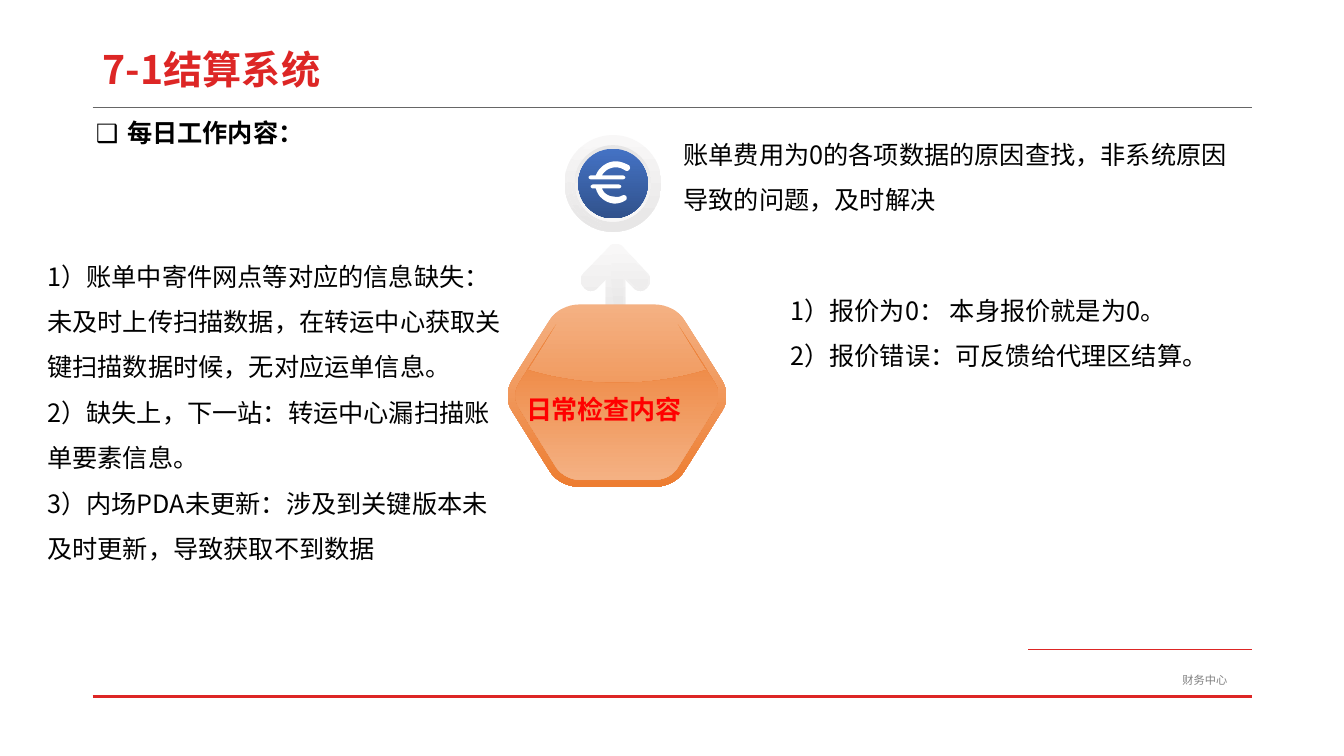
from dataclasses import dataclass

from lxml.etree import SubElement
from pptx import Presentation
from pptx.dml.color import RGBColor
from pptx.enum.shapes import MSO_CONNECTOR, MSO_SHAPE
from pptx.enum.text import MSO_ANCHOR, MSO_AUTO_SIZE, PP_ALIGN
from pptx.oxml.ns import qn
from pptx.util import Inches, Pt


@dataclass(frozen=True)
class Theme:
    font: str = "Noto Sans CJK SC"
    latin: str = "Arial"
    red: str = "DD2625"
    alert: str = "FF0000"
    ink: str = "000000"
    rule: str = "666666"
    muted: str = "808080"
    white: str = "FFFFFF"
    frost: str = "F8F7F7"
    silver: str = "E7E6E6"
    blue: str = "4472C4"
    navy: str = "31528C"
    orange: str = "ED7D31"
    peach: str = "F4B183"
    head: int = 28
    body: int = 18
    label: int = 32
    small: int = 8


def bend(start, curve, steps=8):
    pts = [start, curve[:2], curve[2:4], curve[4:]]
    for i in range(1, steps + 1):
        t = i / steps
        parts = ((1 - t) ** 3, 3 * t * (1 - t) ** 2, 3 * t * t * (1 - t), t ** 3)
        yield tuple(sum(w * p[k] for w, p in zip(parts, pts)) for k in (0, 1))


def trace(contour):
    pts = [contour[0]]
    for step in contour[1:]:
        pts.extend([step] if len(step) == 2 else bend(pts[-1], step))
    return [(Inches(x), Inches(y)) for x, y in pts]


class Board:
    """Draws styled elements on one slide."""

    def __init__(self, slide, theme):
        self.slide, self.theme = slide, theme
        self.shapes = slide.shapes

    def style(self, shape, lines, size, color, bold=False, space=1.0, font=None):
        frame = shape.text_frame
        frame.text = "\n".join(lines)
        frame.word_wrap = True
        for para in frame.paragraphs:
            para.alignment = PP_ALIGN.LEFT
            para.line_spacing = space
            para.space_before = Pt(0)
            for run in para.runs:
                run.font.name = font or self.theme.font
                run.font.size = Pt(size)
                run.font.bold = bold
                run.font.color.rgb = RGBColor.from_string(color)
                east = SubElement(run._r.get_or_add_rPr(), qn("a:ea"))
                east.set("typeface", self.theme.font)
        return frame

    def place(self, shape, box):
        shape.left, shape.top, shape.width, shape.height = map(Inches, box)

    def title(self, text, box):
        shape = self.shapes.title
        self.place(shape, box)
        frame = self.style(shape, [text], self.theme.head, self.theme.red, True, 0.9)
        frame.vertical_anchor = MSO_ANCHOR.MIDDLE
        frame.auto_size = MSO_AUTO_SIZE.NONE

    def bullet(self, text, box):
        shape = self.slide.placeholders[1]
        self.place(shape, box)
        frame = self.style(shape, [text], self.theme.body, self.theme.ink, True, 1.3)
        frame.auto_size = MSO_AUTO_SIZE.NONE
        para = frame.paragraphs[0]
        para.space_after = Pt(6)
        props = para._p.get_or_add_pPr()
        props.set("marL", str(Inches(0.31)))
        props.set("indent", str(Inches(-0.31)))
        SubElement(props, qn("a:buFont")).set("typeface", self.theme.font)
        SubElement(props, qn("a:buChar")).set("char", "❑")

    def text(self, lines, box, size, color, **style):
        shape = self.shapes.add_textbox(*map(Inches, box))
        frame = self.style(shape, lines, size, color, **style)
        frame.auto_size = MSO_AUTO_SIZE.SHAPE_TO_FIT_TEXT
        return frame

    def line(self, left, right, y, color, width):
        ends = map(Inches, (left, y, right, y))
        link = self.shapes.add_connector(MSO_CONNECTOR.STRAIGHT, *ends)
        link.line.color.rgb = RGBColor.from_string(color)
        link.line.width = Pt(width)
        SubElement(link._element.spPr, qn("a:effectLst"))

    def paint(self, shape, colors):
        shape.shadow.inherit = False
        shape.line.fill.background()
        if len(colors) == 1:
            shape.fill.solid()
            shape.fill.fore_color.rgb = RGBColor.from_string(colors[0])
            return
        shape.fill.gradient()
        shape.fill.gradient_angle = 270
        for stop, color in zip(shape.fill.gradient_stops, colors):
            stop.color.rgb = RGBColor.from_string(color)

    def disc(self, x, y, size, *colors):
        half = size / 2
        box = map(Inches, (x - half, y - half, size, size))
        self.paint(self.shapes.add_shape(MSO_SHAPE.OVAL, *box), colors)

    def form(self, contours, *colors):
        paths = [trace(contour) for contour in contours]
        pen = self.shapes.build_freeform(*paths[0][0], scale=1.0)
        for i, pts in enumerate(paths):
            if i:
                pen.move_to(*pts[0])
            pen.add_line_segments(pts[1:], close=True)
        self.paint(pen.convert_to_shape(), colors)


ARROW = [[
    (6.17, 2.44), (6.15, 2.42, 6.07, 2.4, 6.04, 2.45), (5.79, 2.71),
    (5.75, 2.75, 5.75, 2.81, 5.79, 2.85), (5.83, 2.9, 5.89, 2.9, 5.93, 2.85),
    (6.01, 2.77), (6.01, 3.17), (6.01, 3.22, 6.05, 3.27, 6.11, 3.27),
    (6.16, 3.27, 6.2, 3.22, 6.2, 3.17), (6.2, 2.77), (6.28, 2.85),
    (6.32, 2.9, 6.38, 2.9, 6.42, 2.85), (6.46, 2.81, 6.46, 2.75, 6.42, 2.71),
]]
SHINE = [[
    (6.1, 3.1), (6.18, 3.1), (6.18, 2.72), (6.3, 2.84),
    (6.31, 2.86, 6.39, 2.87, 6.41, 2.84), (6.43, 2.82, 6.44, 2.76, 6.41, 2.72),
    (6.16, 2.46), (6.14, 2.44, 6.11, 2.44, 6.08, 2.44), (6.06, 2.69),
    (6.06, 2.83, 6.08, 2.97, 6.1, 3.1),
]]
HEX = [[
    (5.75, 4.83), (5.63, 4.83, 5.51, 4.77, 5.45, 4.67), (5.08, 4.08),
    (5.02, 3.99, 5.02, 3.87, 5.08, 3.77), (5.45, 3.18),
    (5.51, 3.08, 5.63, 3.02, 5.75, 3.02), (6.49, 3.02),
    (6.61, 3.02, 6.73, 3.08, 6.79, 3.18), (7.16, 3.77),
    (7.22, 3.87, 7.22, 3.99, 7.16, 4.08), (6.79, 4.67),
    (6.73, 4.77, 6.61, 4.83, 6.49, 4.83),
]]
GLASS = [[
    (6.72, 3.21), (7.01, 3.67), (6.75, 3.75, 6.45, 3.8, 6.12, 3.8),
    (5.8, 3.8, 5.49, 3.75, 5.23, 3.67), (5.52, 3.21), (5.15, 3.8),
    (5.1, 3.88, 5.1, 3.97, 5.15, 4.05), (5.52, 4.64),
    (5.57, 4.71, 5.66, 4.76, 5.75, 4.76), (6.49, 4.76),
    (6.59, 4.76, 6.68, 4.71, 6.72, 4.64), (7.09, 4.05),
    (7.14, 3.97, 7.14, 3.88, 7.09, 3.8),
]]
GLEAM = [[
    (5.97, 2.24), (5.97, 2.23, 5.97, 2.21, 5.95, 2.21),
    (5.9, 2.19, 5.86, 2.17, 5.82, 2.14), (5.74, 2.07, 5.68, 1.97, 5.67, 1.86),
    (5.66, 1.75, 5.7, 1.64, 5.77, 1.56), (5.84, 1.47, 5.94, 1.42, 6.05, 1.41),
    (6.07, 1.41, 6.08, 1.4, 6.07, 1.39), (6.07, 1.37, 6.06, 1.37, 6.05, 1.37),
    (5.93, 1.37, 5.81, 1.43, 5.73, 1.53), (5.65, 1.62, 5.62, 1.74, 5.63, 1.86),
    (5.64, 1.98, 5.7, 2.09, 5.79, 2.17), (5.84, 2.21, 5.89, 2.23, 5.94, 2.25),
]]
EURO = [
    [(6.24, 1.64), (6.2, 1.62, 6.15, 1.6, 6.11, 1.6), (6.02, 1.6, 5.94, 1.66, 5.91, 1.74),
     (5.86, 1.74), (5.83, 1.75, 5.83, 1.77, 5.86, 1.78), (6.18, 1.78),
     (6.21, 1.77, 6.21, 1.75, 6.18, 1.74), (5.97, 1.74),
     (6, 1.69, 6.05, 1.66, 6.11, 1.66), (6.14, 1.66, 6.17, 1.67, 6.2, 1.69),
     (6.22, 1.71, 6.27, 1.68, 6.24, 1.64)],
    [(6.17, 1.94), (6.15, 1.95, 6.13, 1.96, 6.09, 1.95), (6.04, 1.95, 5.99, 1.92, 5.97, 1.87),
     (6.14, 1.87), (6.17, 1.86, 6.17, 1.84, 6.14, 1.83), (5.88, 1.83),
     (5.85, 1.84, 5.85, 1.86, 5.88, 1.87), (5.91, 1.87),
     (5.93, 1.95, 6, 2.01, 6.09, 2.02), (6.13, 2.02, 6.17, 2.01, 6.2, 1.99),
     (6.23, 1.98, 6.22, 1.92, 6.17, 1.94)],
]


def main():
    deck = Presentation()
    deck.slide_width, deck.slide_height = Inches(13.33), Inches(7.5)
    look = Theme()
    board = Board(deck.slides.add_slide(deck.slide_layouts[1]), look)

    board.line(0.92, 12.42, 1.07, look.rule, 0.75)
    board.line(10.2, 12.42, 6.44, look.red, 0.5)
    board.line(0.92, 12.42, 6.91, look.red, 1.5)
    board.text(["财务中心"], (11.63, 6.63, 1.14, 0.24), look.small, look.muted)
    board.title("7-1结算系统", (0.92, 0.4, 11.5, 0.62))
    board.bullet("每日工作内容：", (0.85, 1.02, 11.64, 0.49))

    board.form(ARROW, look.frost, look.silver)
    board.form(SHINE, look.frost, look.silver)
    board.form(HEX, look.peach, look.orange)
    board.form(GLASS, look.orange, look.peach)
    label = board.text(["日常检查内容"], (5.12, 3.56, 2.03, 0.46), look.label,
                       look.alert, bold=True, font=look.latin)
    label.paragraphs[0].runs[0]._r.get_or_add_rPr().set("baseline", "-25000")

    board.disc(6.08, 1.82, 0.96, look.frost, look.silver)
    board.disc(6.08, 1.82, 0.76, look.silver, look.frost)
    board.disc(6.08, 1.82, 0.69, look.blue, look.navy)
    board.form(GLEAM, look.frost, look.silver)
    board.form(EURO, look.white)

    notes = (
        ((6.68, 1.18, 5.7, 1.01),
         ["账单费用为0的各项数据的原因查找，非系统原因导致的问题，及时解决"]),
        ((0.37, 2.39, 4.78, 3.28),
         ["1）账单中寄件网点等对应的信息缺失：未及时上传扫描数据，在转运中心获取关键扫描数据时候，无对应运单信息。",
          "2）缺失上，下一站：转运中心漏扫描账单要素信息。",
          "3）内场PDA未更新：涉及到关键版本未及时更新，导致获取不到数据"]),
        ((7.74, 2.73, 5.14, 1.46),
         ["1）报价为0： 本身报价就是为0。", "2）报价错误：可反馈给代理区结算。"]),
    )
    for box, lines in notes:
        board.text(lines, box, look.body, look.ink, space=1.5)
    deck.save("out.pptx")


if __name__ == "__main__":
    main()
